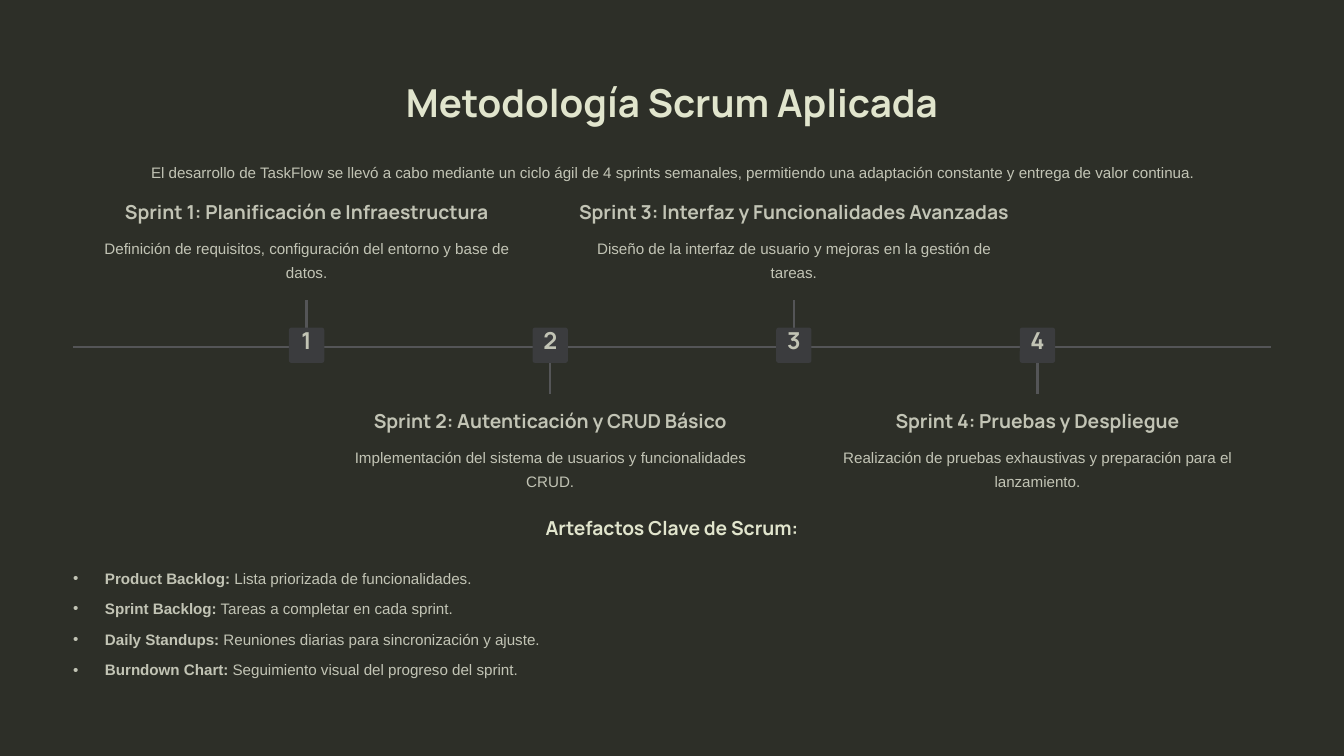
from dataclasses import dataclass

from lxml import etree
from pptx import Presentation
from pptx import util as u
from pptx.dml import color
from pptx.enum import shapes, text
from pptx.oxml import ns

EMU_PER_PX = 9144  # 100 px to the inch


@dataclass(frozen=True)
class TextStyle:
    font: str
    size: float
    colour: str
    bold: bool
    line: float  # exact line spacing, points


class Theme:
    background = "2D2F28"
    rule = "545557"
    badge = "3B3C3E"
    light = "E1E5CD"
    soft = "C2C4B5"
    title = TextStyle("Manrope", 33, light, True, 41.5)
    section = TextStyle("Manrope", 16.5, light, True, 20.5)
    heading = TextStyle("Manrope", 16.5, soft, True, 20.5)
    number = TextStyle("Manrope", 20, soft, True, 20)
    body = TextStyle("Arial", 13, soft, False, 21)


MARGIN, CONTENT_WIDTH = 87, 1426
AXIS_Y = 413
FIRST_CENTRE, SPRINT_STEP = 365, 290
STEM, BADGE, COLUMN = 56, 42, 520
HEADING_ABOVE, HEADING_BELOW = 237, 486

INTRO = ("El desarrollo de TaskFlow se llevó a cabo mediante un ciclo ágil de 4 sprints "
         "semanales, permitiendo una adaptación constante y entrega de valor continua.")
SPRINTS = [
    ("Sprint 1: Planificación e Infraestructura",
     "Definición de requisitos, configuración del entorno y base de datos."),
    ("Sprint 2: Autenticación y CRUD Básico",
     "Implementación del sistema de usuarios y funcionalidades CRUD."),
    ("Sprint 3: Interfaz y Funcionalidades Avanzadas",
     "Diseño de la interfaz de usuario y mejoras en la gestión de tareas."),
    ("Sprint 4: Pruebas y Despliegue",
     "Realización de pruebas exhaustivas y preparación para el lanzamiento."),
]
ARTEFACTS = [
    ("Product Backlog:", " Lista priorizada de funcionalidades."),
    ("Sprint Backlog:", " Tareas a completar en cada sprint."),
    ("Daily Standups:", " Reuniones diarias para sincronización y ajuste."),
    ("Burndown Chart:", " Seguimiento visual del progreso del sprint."),
]


def px(*lengths):
    return [u.Emu(length * EMU_PER_PX) for length in lengths]


def rgb(value):
    return color.RGBColor.from_string(value)


def set_frame(frame, wrap=False, top=0):
    frame.margin_left = frame.margin_right = frame.margin_bottom = 0
    frame.margin_top = px(top)[0]
    frame.auto_size = text.MSO_AUTO_SIZE.NONE
    frame.vertical_anchor = text.MSO_ANCHOR.TOP
    frame.word_wrap = wrap


def format_paragraph(paragraph, style, align=text.PP_ALIGN.CENTER):
    paragraph.alignment = align
    paragraph.line_spacing = u.Pt(style.line)
    for run in paragraph.runs:
        run.font.name = style.font
        run.font.size = u.Pt(style.size)
        run.font.bold = style.bold
        run.font.color.rgb = rgb(style.colour)


def add_text(slide, content, box, style, wrap=False):
    frame = slide.shapes.add_textbox(*px(*box)).text_frame
    set_frame(frame, wrap)
    frame.text = content
    format_paragraph(frame.paragraphs[0], style)


def set_title(slide, content, box):
    title = slide.shapes.title
    title.left, title.top, title.width, title.height = px(*box)
    title.text_frame.text = content
    set_frame(title.text_frame)
    format_paragraph(title.text_frame.paragraphs[0], Theme.title)


def add_rule(slide, *ends):
    rule = slide.shapes.add_connector(shapes.MSO_CONNECTOR.STRAIGHT, *px(*ends))
    rule.line.color.rgb = rgb(Theme.rule)
    rule.line.width = px(3)[0]
    etree.SubElement(rule._element.spPr, ns.qn("a:effectLst"))


def add_badge(slide, number, centre):
    box = px(centre - BADGE // 2, AXIS_Y - 23, BADGE, BADGE)
    badge = slide.shapes.add_shape(shapes.MSO_SHAPE.ROUNDED_RECTANGLE, *box)
    badge.adjustments[0] = 0.07
    badge.shadow.inherit = False
    badge.fill.solid()
    badge.fill.fore_color.rgb = rgb(Theme.badge)
    badge.line.fill.background()
    set_frame(badge.text_frame, top=3)
    badge.text_frame.text = str(number)
    format_paragraph(badge.text_frame.paragraphs[0], Theme.number)


def add_sprint(slide, index, heading, description):
    # Odd sprints sit above the axis, even ones below
    centre = FIRST_CENTRE + index * SPRINT_STEP
    above = index % 2 == 0
    top = HEADING_ABOVE if above else HEADING_BELOW
    left = centre - COLUMN // 2
    add_rule(slide, centre, AXIS_Y, centre, AXIS_Y + (-STEM if above else STEM))
    add_badge(slide, index + 1, centre)
    add_text(slide, heading, (left, top, COLUMN, 29), Theme.heading)
    add_text(slide, description, (left, top + 40, COLUMN, 60), Theme.body, wrap=True)


def add_bullet(paragraph):
    properties = paragraph._p.get_or_add_pPr()
    indent = px(38)[0]
    properties.set("marL", str(indent))
    properties.set("indent", str(-indent))
    etree.SubElement(properties, ns.qn("a:buFont"), typeface="Arial")
    etree.SubElement(properties, ns.qn("a:buChar"), char="•")


def add_artefacts(slide, box):
    frame = slide.shapes.add_textbox(*px(*box)).text_frame
    set_frame(frame, wrap=True)
    for index, (name, meaning) in enumerate(ARTEFACTS):
        paragraph = frame.add_paragraph() if index else frame.paragraphs[0]
        paragraph.text = name
        paragraph.add_run().text = meaning
        add_bullet(paragraph)
        format_paragraph(paragraph, Theme.body, text.PP_ALIGN.LEFT)
        paragraph.runs[0].font.bold = True
        if index:
            paragraph.space_before = u.Pt(5.2)


def main():
    presentation = Presentation()
    presentation.slide_width, presentation.slide_height = px(1600, 900)
    slide = presentation.slides.add_slide(presentation.slide_layouts.get_by_name("Title Only"))
    slide.background.fill.solid()
    slide.background.fill.fore_color.rgb = rgb(Theme.background)

    # Title and introduction
    set_title(slide, "Metodología Scrum Aplicada", (465, 91, 670, 58))
    add_text(slide, INTRO, (MARGIN, 187, CONTENT_WIDTH, 30), Theme.body)

    # Sprint timeline
    add_rule(slide, MARGIN, AXIS_Y, MARGIN + CONTENT_WIDTH, AXIS_Y)
    for index, (heading, description) in enumerate(SPRINTS):
        add_sprint(slide, index, heading, description)

    # Scrum artefacts
    add_text(slide, "Artefactos Clave de Scrum:", (650, 614, 300, 29), Theme.section)
    add_artefacts(slide, (MARGIN, 670, CONTENT_WIDTH, 139))

    presentation.save("out.pptx")


if __name__ == "__main__":
    main()
